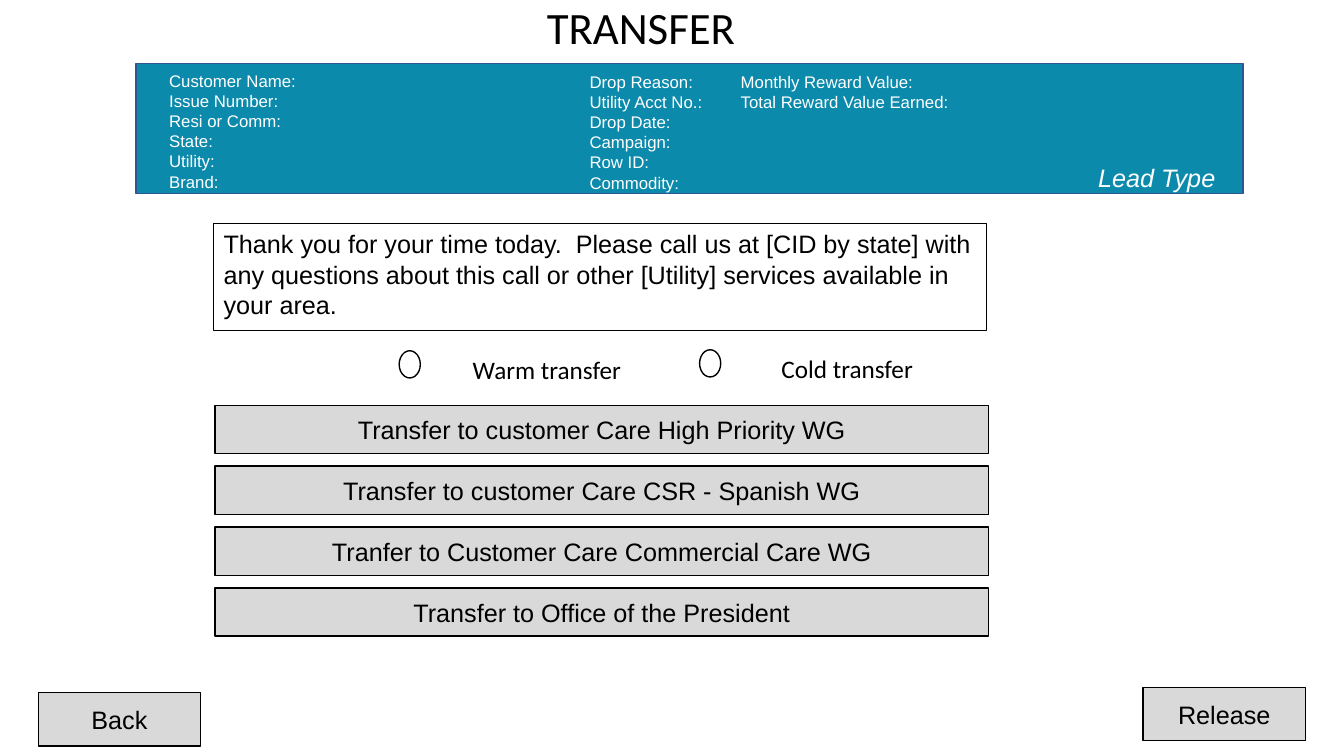
from dataclasses import dataclass
from typing import Optional

from pptx import Presentation
from pptx import util as u
from pptx.dml import color
from pptx.enum import shapes, text

COLORS = {"black": "000000", "white": "FFFFFF", "button": "D9D9D9",
          "banner": "0C8AAC", "banner edge": "325491"}

# The slide is a grid of square cells, a tenth of an inch each.
CELL = u.Inches(0.1)
COLUMNS, ROWS = 133.33, 75

FONTS = {
    "title": {"name": "Calibri", "size": u.Pt(32)},
    "body": {"name": "Arial", "size": u.Pt(18)},
    "choice": {"name": "Calibri", "size": u.Pt(18)},
    "details": {"name": "Arial", "size": u.Pt(12)},
    "lead": {"name": "Arial", "size": u.Pt(18), "italic": True},
}
CENTERED = {"alignment": text.PP_ALIGN.CENTER}
LEFT = {"alignment": text.PP_ALIGN.LEFT}
TITLE = {**CENTERED, "line_spacing": 0.9}
TOP, MIDDLE = text.MSO_ANCHOR.TOP, text.MSO_ANCHOR.MIDDLE
RECTANGLE, OVAL = shapes.MSO_SHAPE.RECTANGLE, shapes.MSO_SHAPE.OVAL


@dataclass
class Area:
    column: float
    row: float
    width: float
    height: float

    def lengths(self) -> list[int]:
        return [round(cells * CELL) for cells in
                (self.column, self.row, self.width, self.height)]


@dataclass
class Label:
    lines: list[str]
    font: str = "body"
    ink: str = "black"
    paragraph: Optional[dict] = None
    anchor: text.MSO_ANCHOR = MIDDLE


@dataclass
class Panel:
    area: Area
    fill: str = "button"
    edge: Optional[str] = "black"
    label: Optional[Label] = None
    outline: shapes.MSO_SHAPE = RECTANGLE


def rgb(name: str) -> color.RGBColor:
    return color.RGBColor.from_string(COLORS[name])


def apply_format(target, values: dict) -> None:
    for attribute, value in values.items():
        setattr(target, attribute, value)


def write(frame, label: Label) -> None:
    apply_format(frame, {"word_wrap": True, "vertical_anchor": label.anchor})
    for index, line in enumerate(label.lines):
        paragraph = frame.add_paragraph() if index else frame.paragraphs[0]
        paragraph.text = line
        apply_format(paragraph, label.paragraph or CENTERED)
        apply_format(paragraph.font, FONTS[label.font])
        paragraph.font.color.rgb = rgb(label.ink)


def draw_panel(slide, panel: Panel) -> None:
    drawn = slide.shapes.add_shape(panel.outline, *panel.area.lengths())
    drawn.shadow.inherit = False
    drawn.fill.solid()
    drawn.fill.fore_color.rgb = rgb(panel.fill)
    if panel.edge:
        drawn.line.color.rgb = rgb(panel.edge)
        drawn.line.width = u.Pt(1)
    else:
        drawn.line.fill.background()
    if panel.label:
        write(drawn.text_frame, panel.label)


def draw_text(slide, area: Area, label: Label) -> None:
    write(slide.shapes.add_textbox(*area.lengths()).text_frame, label)


def draw_banner(slide) -> None:
    draw_panel(slide, Panel(Area(13.5, 6.3, 109.8, 12.9), "banner", "banner edge"))
    customer = ["Customer Name:", "Issue Number:", "Resi or Comm:",
                "State:", "Utility:", "Brand:"]
    account = ["Drop Reason:\tMonthly Reward Value:",
               "Utility Acct No.:\tTotal Reward Value Earned:",
               "Drop Date:", "Campaign:", "Row ID:", "Commodity:"]
    for area, details in ((Area(15.8, 6.5, 22.4, 13.1), customer),
                          (Area(57.5, 6.6, 47.1, 13.1), account)):
        draw_text(slide, area, Label(details, "details", "white", LEFT, TOP))
    draw_text(slide, Area(107.3, 15.6, 14.9, 4),
              Label(["Lead Type"], "lead", "white", anchor=TOP))


def draw_choice(slide, column: float, row: float, caption: str) -> None:
    """Draw a radio button with its caption to the right."""
    draw_panel(slide, Panel(Area(column, row, 2.1, 2.7), "white", outline=OVAL))
    draw_panel(slide, Panel(Area(column + 4.1, row + 0.9, 21.1, 1.8), "white", None,
                            Label([caption], "choice")))


def main() -> None:
    deck = Presentation()
    apply_format(deck, {"slide_width": round(COLUMNS * CELL),
                        "slide_height": ROWS * CELL})
    slide = deck.slides.add_slide(deck.slide_layouts[6])

    draw_text(slide, Area(6.1, 1.2, 115, 3.5), Label(["TRANSFER"], "title", paragraph=TITLE))
    for column, row, command in ((113.4, 68.2, "Release"), (3.8, 68.7, "Back")):
        draw_panel(slide, Panel(Area(column, row, 16.1, 5.3), label=Label([command])))

    closing = ("Thank you for your time today.  Please call us at [CID by state] with "
               "any questions about this call or other [Utility] services available in "
               "your area.")
    draw_panel(slide, Panel(Area(21.2, 22.2, 76.7, 10.6), "white",
                            label=Label([closing], paragraph=LEFT, anchor=TOP)))

    destinations = ["Transfer to customer Care High Priority WG",
                    "Transfer to customer Care CSR - Spanish WG",
                    "Tranfer to Customer Care Commercial Care WG",
                    "Transfer to Office of the President"]
    for index, destination in enumerate(destinations):
        draw_panel(slide, Panel(Area(21.35, 40.2 + 6.04 * index, 76.7, 4.8),
                                label=Label([destination])))

    draw_banner(slide)
    draw_choice(slide, 39.6, 34.8, "Warm transfer")
    draw_choice(slide, 69.4, 34.7, "Cold transfer")
    deck.save("out.pptx")


if __name__ == "__main__":
    main()
